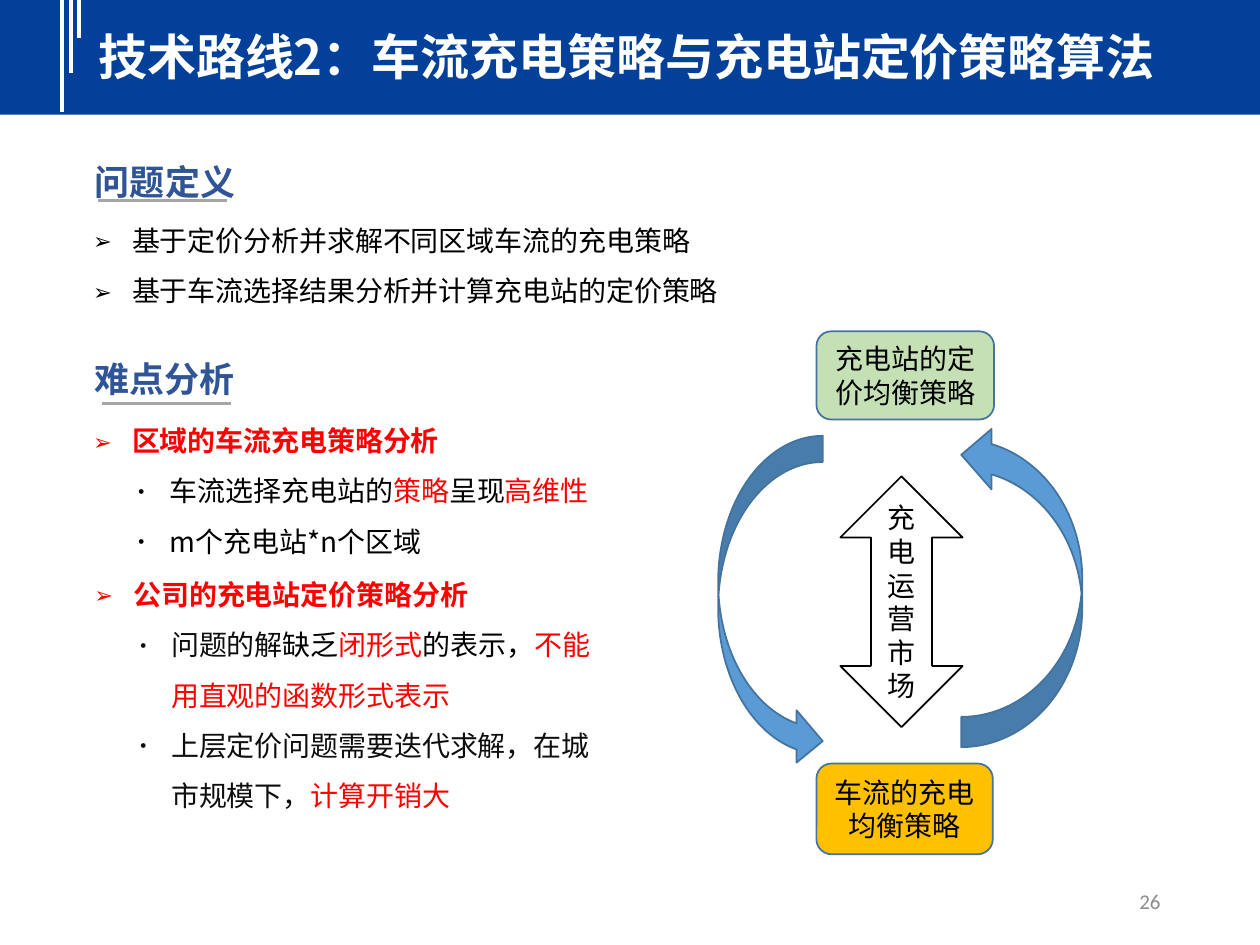
import pptx
import pptx.util
import pptx.dml.color
import pptx.enum.shapes
import pptx.enum.text
import pptx.oxml.ns
import lxml.etree

Inches, Pt = pptx.util.Inches, pptx.util.Pt
FORM = pptx.enum.shapes.MSO_SHAPE
ALIGN = pptx.enum.text.PP_ALIGN
ANCHOR = pptx.enum.text.MSO_ANCHOR
AUTO = pptx.enum.text.MSO_AUTO_SIZE
qn = pptx.oxml.ns.qn

THEME = {
    "band": "02409A", "white": "FFFFFF", "head": "2F5597", "rule": "A6A6A6",
    "black": "000000", "soft": "0D0D0D", "red": "FF0000", "page": "8C8C8C",
    "arrow": "5B9BD5", "edge": "43739E", "green": "C5E0B4", "gold": "FFC000",
    "font": "Noto Sans CJK SC", "digit": "Calibri",
    "title": 28, "section": 20, "body": 16, "small": 12,
}

TITLE = "技术路线2：车流充电策略与充电站定价策略算法"
PAGE = "26"
TICKS = [(0.49, 0.89), (0.56, 0.58), (0.63, 0.3)]

GOALS = [
    (0, [("基于定价分析并求解不同区域车流的充电策略", "black")]),
    (0, [("基于车流选择结果分析并计算充电站的定价策略", "black")]),
]
FLOW = [
    (0, [("区域的车流充电策略分析", "red")]),
    (1, [("车流选择充电站的", "black"), ("策略", "red"),
         ("呈现", "black"), ("高维性", "red")]),
    (1, [("m个充电站*n个区域", "black")]),
]
PRICE = [
    (0, [("公司的充电站定价策略分析", "red")]),
    (1, [("问题的解", "soft"), ("缺乏", "black"), ("闭形式", "red"),
         ("的表示，", "black"), ("不能用直观的函数形式表示", "red")]),
    (1, [("上层定价问题需要迭代求解，在城市规模下，", "soft"),
         ("计算开销大", "red")]),
]
LISTS = {
    "goals": ((0.64, 1.59, 8.46, 0.91), GOALS, FORM.RECTANGLE),
    "flow": ((0.64, 3.18, 4.37, 1.31), FLOW, FORM.RECTANGLE),
    "price": ((0.65, 4.4, 4.22, 2.12), PRICE, None),
}
HEADS = {
    "goals": ("问题定义", (0.65, 1.06, 1.32, 0.55), 1.5, False, (0.78, 1.59)),
    "flow": ("难点分析", (0.63, 2.79, 1.35, 0.44), 1, True, (0.81, 3.2)),
}
RULE = 1.02
STEP = {0: (0.31, "➢"), 1: (0.61, "•")}
HANG = 0.31

ARCS = [((5.7, 3.46, 0.83, 2.63), False), ((7.63, 3.37, 0.96, 2.56), True)]
NODES = [
    ("充电运营市场", (6.67, 3.78, 0.97, 1.99), FORM.UP_DOWN_ARROW, None, "black"),
    ("充电站的定价均衡策略", (6.48, 2.63, 1.41, 0.7), FORM.ROUNDED_RECTANGLE, "green", "edge"),
    ("车流的充电均衡策略", (6.48, 6.06, 1.4, 0.72), FORM.ROUNDED_RECTANGLE, "gold", "edge"),
]


def tint(name):
    return pptx.dml.color.RGBColor.from_string(THEME[name])


def add_run(para, text, size, hue, bold=False, face="font"):
    run = para.add_run()
    run.text = text
    font = run.font
    font.size, font.bold, font.name = Pt(THEME[size]), bold, THEME[face]
    font.color.rgb = tint(hue)
    east = lxml.etree.Element(qn("a:ea"), typeface=THEME[face])
    font._element.find(qn("a:latin")).addnext(east)


def add_form(slide, form, box, fill=None, edge=None):
    shape = slide.shapes.add_shape(form, *map(Inches, box))
    shape.shadow.inherit = False
    if fill:
        shape.fill.solid()
        shape.fill.fore_color.rgb = tint(fill)
    else:
        shape.fill.background()
    if edge:
        shape.line.color.rgb = tint(edge)
        shape.line.width = Pt(1)
    else:
        shape.line.fill.background()
    return shape


def add_line(slide, start, end, hue, width):
    line = slide.shapes.add_connector(
        pptx.enum.shapes.MSO_CONNECTOR.STRAIGHT, *map(Inches, start + end))
    line.line.color.rgb = tint(hue)
    line.line.width = Pt(width)
    lxml.etree.SubElement(line._element.spPr, qn("a:effectLst"))


def set_text(shape, align, anchor=ANCHOR.TOP, wrap=True, grow=False):
    frame = shape.text_frame
    frame.word_wrap = wrap
    frame.vertical_anchor = anchor
    frame.auto_size = AUTO.SHAPE_TO_FIT_TEXT if grow else AUTO.NONE
    para = frame.paragraphs[0]
    para.alignment = align
    return para


def add_mark(para, level):
    left, mark = STEP[level]
    props = para._p.get_or_add_pPr()
    props.set("marL", str(Inches(left)))
    props.set("indent", str(-Inches(HANG)))
    lxml.etree.SubElement(props, qn("a:buSzPct"), val="80000")
    lxml.etree.SubElement(props, qn("a:buFont"), typeface=THEME["font"])
    lxml.etree.SubElement(props, qn("a:buChar"), char=mark)


def add_list(slide, box, items, form):
    if form:
        shape = add_form(slide, form, box, "white")
    else:
        shape = slide.shapes.add_textbox(*map(Inches, box))
    first = set_text(shape, ALIGN.LEFT, grow=True)
    for i, (level, runs) in enumerate(items):
        para = shape.text_frame.add_paragraph() if i else first
        add_mark(para, level)
        para.alignment = ALIGN.LEFT
        para.line_spacing = 1.5
        for text, hue in runs:
            add_run(para, text, "body", hue, items is not GOALS and level == 0)


def add_head(slide, text, box, space, wrap, start):
    shape = slide.shapes.add_textbox(*map(Inches, box))
    para = set_text(shape, ALIGN.CENTER, wrap=wrap, grow=True)
    para.line_spacing = space
    add_run(para, text, "section", "head", True)
    add_line(slide, start, (start[0] + RULE, start[1]), "rule", 1.5)


def add_top(slide):
    add_form(slide, FORM.RECTANGLE, (0, -0.03, 10, 0.94), "band")
    for x, end in TICKS:
        add_line(slide, (x, -0.03), (x, end), "white", 2.25)
    title = slide.shapes.title
    title.left, title.top, title.width, title.height = map(Inches, (0.68, 0.16, 9.12, 0.57))
    title._element.getparent().append(title._element)
    para = set_text(title, ALIGN.LEFT, grow=True)
    add_run(para, TITLE, "title", "white", True)
    page = slide.shapes.add_textbox(*map(Inches, (7.06, 6.95, 2.25, 0.4)))
    para = set_text(page, ALIGN.RIGHT, ANCHOR.MIDDLE)
    add_run(para, PAGE, "small", "page", face="digit")


def add_cycle(slide):
    for box, flip in ARCS:
        arc = add_form(slide, FORM.CURVED_RIGHT_ARROW, box, "arrow", "edge")
        if flip:
            frame = arc._element.spPr.find(qn("a:xfrm"))
            frame.set("flipH", "1")
            frame.set("flipV", "1")
    for text, box, form, fill, edge in NODES:
        node = add_form(slide, form, box, fill, edge)
        para = set_text(node, ALIGN.CENTER, ANCHOR.MIDDLE)
        add_run(para, text, "body", "black")


def main():
    deck = pptx.Presentation()
    deck.slide_width, deck.slide_height = Inches(10), Inches(7.5)
    slide = deck.slides.add_slide(deck.slide_layouts[5])
    add_top(slide)
    for key, block in LISTS.items():
        add_list(slide, *block)
        if key in HEADS:
            add_head(slide, *HEADS[key])
    add_cycle(slide)
    deck.save("out.pptx")


if __name__ == "__main__":
    main()
